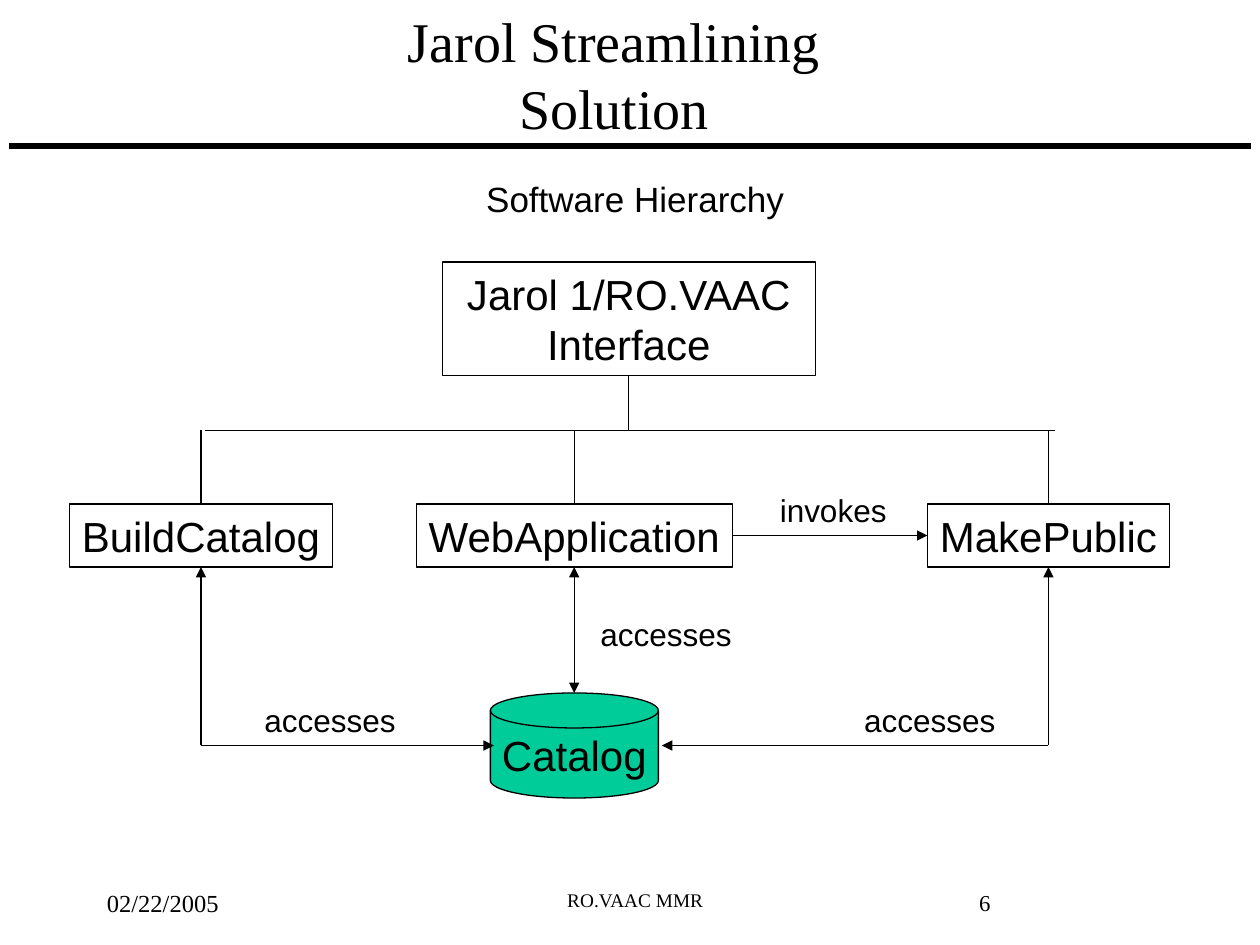
"""Build the software hierarchy slide."""
from dataclasses import dataclass
from typing import Optional

from lxml.etree import SubElement
from pptx import Presentation
from pptx.dml.color import RGBColor
from pptx.enum.shapes import MSO_CONNECTOR, MSO_SHAPE
from pptx.enum.text import MSO_ANCHOR, MSO_AUTO_SIZE, PP_ALIGN
from pptx.oxml.ns import qn
from pptx.shapes.autoshape import Shape
from pptx.shapes.connector import Connector
from pptx.slide import Slide
from pptx.text.text import TextFrame
from pptx.util import Pt

TOP, LEFT, BOTTOM, RIGHT = range(4)


@dataclass(frozen=True)
class Theme:
    black: RGBColor = RGBColor(0, 0, 0)
    white: RGBColor = RGBColor(255, 255, 255)
    green: RGBColor = RGBColor(0, 204, 153)
    sans: str = "Arial"
    serif: str = "Times New Roman"
    title: float = 32
    subtitle: float = 20
    node: float = 24
    label: float = 18
    date: float = 14
    number: float = 13
    footer: float = 11
    thin: float = 0.75
    thick: float = 3


@dataclass(frozen=True)
class Box:
    left: float
    top: float
    width: float
    height: float

    @property
    def center(self) -> float:
        return self.left + self.width / 2

    @property
    def right(self) -> float:
        return self.left + self.width

    @property
    def bottom(self) -> float:
        return self.top + self.height


@dataclass(frozen=True)
class Label:
    text: str
    box: Box
    size: float
    font: str
    align: PP_ALIGN = PP_ALIGN.LEFT
    wrap: bool = False


@dataclass(frozen=True)
class Node:
    text: str
    box: Box
    kind: MSO_SHAPE = MSO_SHAPE.RECTANGLE
    fill: Optional[RGBColor] = None


THEME = Theme()
NODE_TOP, NODE_HEIGHT = 288, 36
BUS_Y, ACCESS_Y = 246, 426

ROOT = Node("Jarol 1/RO.VAAC\nInterface", Box(252.7, 149.8, 213.2, 64.8))
BUILD = Node("BuildCatalog", Box(39.6, NODE_TOP, 150.5, NODE_HEIGHT))
WEB = Node("WebApplication", Box(237.8, NODE_TOP, 180.7, NODE_HEIGHT))
PUBLIC = Node("MakePublic", Box(530, NODE_TOP, 138.2, NODE_HEIGHT))
CATALOG = Node("Catalog", Box(280.2, 396, 96, 60), MSO_SHAPE.FLOWCHART_MAGNETIC_DISK, THEME.green)

LABELS = [
    Label("invokes", Box(438.5, 277.2, 75.6, 28.8), THEME.label, THEME.sans),
    *(Label("accesses", Box(left, top, 89.3, 28.8), THEME.label, THEME.sans)
      for left, top in ((336, 348), (144, 397.2), (486.7, 397.2))),
    Label("RO.VAAC MMR", Box(228, 504, 270, 38), THEME.footer, THEME.serif, PP_ALIGN.CENTER, True),
    Label("6", Box(552.4, 504.4, 158, 30), THEME.number, THEME.serif, wrap=True),
    Label("02/22/2005", Box(54, 504, 150, 36), THEME.date, THEME.serif, wrap=True),
]


def points(box: Box) -> tuple[Pt, Pt, Pt, Pt]:
    """Return the box as left, top, width and height lengths."""
    return Pt(box.left), Pt(box.top), Pt(box.width), Pt(box.height)


def format_text(frame: TextFrame, size: float, font: str, align: PP_ALIGN) -> None:
    """Format every run of a text frame."""
    for paragraph in frame.paragraphs:
        paragraph.alignment = align
        for run in paragraph.runs:
            run.font.size = Pt(size)
            run.font.name = font
            run.font.color.rgb = THEME.black


def fill_placeholder(shape: Shape, label: Label, anchor: MSO_ANCHOR) -> None:
    """Move a placeholder and set its formatted text."""
    shape.left, shape.top, shape.width, shape.height = points(label.box)
    frame = shape.text_frame
    frame.text = label.text
    frame.auto_size = MSO_AUTO_SIZE.NONE
    frame.vertical_anchor = anchor
    format_text(frame, label.size, label.font, label.align)


def add_label(slide: Slide, label: Label) -> None:
    """Add a plain text box."""
    frame = slide.shapes.add_textbox(*points(label.box)).text_frame
    frame.text = label.text
    frame.word_wrap = label.wrap
    format_text(frame, label.size, label.font, label.align)


def add_node(slide: Slide, node: Node) -> Shape:
    """Add an outlined shape with centred text."""
    shape = slide.shapes.add_shape(node.kind, *points(node.box))
    shape.shadow.inherit = False
    if node.fill is None:
        shape.fill.background()
    else:
        shape.fill.solid()
        shape.fill.fore_color.rgb = node.fill
    shape.line.color.rgb = THEME.black
    shape.line.width = Pt(THEME.thin)
    frame = shape.text_frame
    frame.text = node.text
    frame.word_wrap = False
    frame.vertical_anchor = MSO_ANCHOR.MIDDLE
    format_text(frame, THEME.node, THEME.sans, PP_ALIGN.CENTER)
    return shape


def add_line(slide: Slide, start: tuple[float, float], end: tuple[float, float],
             head: bool = False, tail: bool = False, width: float = THEME.thin) -> Connector:
    """Add a straight line with optional arrowheads at its start and end."""
    connector = slide.shapes.add_connector(
        MSO_CONNECTOR.STRAIGHT, *(Pt(value) for value in (*start, *end)))
    connector.line.color.rgb = THEME.black
    connector.line.width = Pt(width)
    for tag, wanted in (("a:headEnd", head), ("a:tailEnd", tail)):
        if wanted:
            SubElement(connector.get_or_add_ln(), qn(tag), type="triangle")
    SubElement(connector._element.spPr, qn("a:effectLst"))
    return connector


def add_headings(slide: Slide) -> None:
    """Fill the title and body placeholders and draw the rule."""
    add_line(slide, (5, 83.5), (715, 83.5), width=THEME.thick)
    title = Label("Jarol Streamlining\vSolution", Box(102, 0, 498, 84),
                  THEME.title, THEME.serif, PP_ALIGN.CENTER)
    fill_placeholder(slide.shapes.title, title, MSO_ANCHOR.MIDDLE)
    subtitle = Label("Software Hierarchy", Box(42, 102.4, 642, 42),
                     THEME.subtitle, THEME.sans, PP_ALIGN.CENTER)
    body = slide.placeholders[1]
    fill_placeholder(body, subtitle, MSO_ANCHOR.TOP)
    paragraph = body.text_frame.paragraphs[0]
    paragraph.line_spacing = 0.8
    paragraph.space_before = Pt(5)
    properties = paragraph._p.get_or_add_pPr()
    properties.set("marL", "0")
    properties.set("indent", "0")
    SubElement(properties, qn("a:buNone"))


def add_footer_band(slide: Slide) -> None:
    """Add the white band behind the footer."""
    band = slide.shapes.add_shape(MSO_SHAPE.RECTANGLE, *points(Box(36, 504, 600, 36)))
    band.shadow.inherit = False
    band.fill.solid()
    band.fill.fore_color.rgb = THEME.white
    band.line.color.rgb = THEME.white


def add_hierarchy(slide: Slide) -> None:
    """Draw the nodes and the lines between them."""
    shapes = {node: add_node(slide, node) for node in (ROOT, BUILD, WEB, PUBLIC, CATALOG)}
    add_line(slide, (117, BUS_Y), (603, BUS_Y))
    trunk = add_line(slide, (ROOT.box.center, ROOT.box.bottom), (ROOT.box.center, BUS_Y))
    trunk.begin_connect(shapes[ROOT], BOTTOM)
    for node, access_start in ((BUILD, ACCESS_Y), (WEB, CATALOG.box.top), (PUBLIC, ACCESS_Y)):
        center = node.box.center
        drop = add_line(slide, (center, BUS_Y), (center, NODE_TOP))
        drop.end_connect(shapes[node], TOP)
        access = add_line(slide, (center, access_start), (center, node.box.bottom),
                          head=node is WEB, tail=True)
        access.end_connect(shapes[node], BOTTOM)
    for node, edge in ((BUILD, CATALOG.box.left + 2), (PUBLIC, CATALOG.box.right + 2)):
        add_line(slide, (edge, ACCESS_Y), (node.box.center, ACCESS_Y), head=True)
    middle = NODE_TOP + NODE_HEIGHT / 2
    invoke = add_line(slide, (WEB.box.right, middle), (PUBLIC.box.left, middle), tail=True)
    invoke.begin_connect(shapes[WEB], RIGHT)
    invoke.end_connect(shapes[PUBLIC], LEFT)


def main() -> None:
    """Create and save the presentation."""
    presentation = Presentation()
    presentation.slide_width, presentation.slide_height = Pt(720), Pt(540)
    slide = presentation.slides.add_slide(presentation.slide_layouts[1])
    add_headings(slide)
    add_footer_band(slide)
    add_hierarchy(slide)
    for label in LABELS:
        add_label(slide, label)
    presentation.save("out.pptx")


if __name__ == "__main__":
    main()
